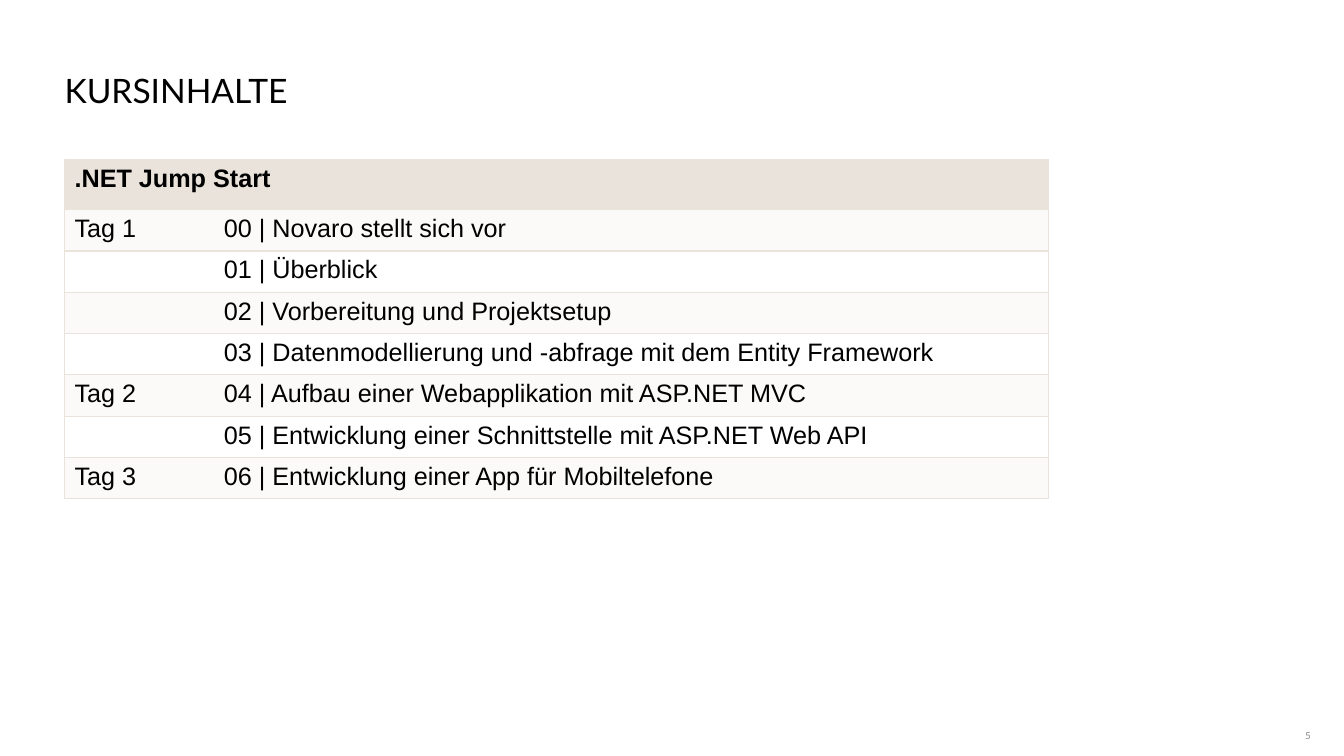
import pptx
import pptx.dml.color
import pptx.enum.text
import pptx.oxml
import pptx.oxml.ns
import pptx.util
from pptx.util import Inches

ALIGN = pptx.enum.text.PP_ALIGN
ANCHOR = pptx.enum.text.MSO_ANCHOR

BEIGE, BAND, WHITE, BLACK, GREY = "EAE3DB", "FBFAF8", "FFFFFF", "000000", "8C8C8C"
MARGIN_LEFT = 0.64
HEADER_HEIGHT, ROW_HEIGHT = 0.5, 0.41
DAY_WIDTH = 1.48

COURSE = ".NET Jump Start"
TOPICS = [
    ("Tag 1", "00 | Novaro stellt sich vor"),
    ("", "01 | Überblick"),
    ("", "02 | Vorbereitung und Projektsetup"),
    ("", "03 | Datenmodellierung und -abfrage mit dem Entity Framework"),
    ("Tag 2", "04 | Aufbau einer Webapplikation mit ASP.NET MVC"),
    ("", "05 | Entwicklung einer Schnittstelle mit ASP.NET Web API"),
    ("Tag 3", "06 | Entwicklung einer App für Mobiltelefone"),
]


def rgb(value):
    return pptx.dml.color.RGBColor.from_string(value)


def style_font(font, name, size, color, bold=False):
    font.name = name
    font.size = pptx.util.Pt(size)
    font.bold = bold
    font.color.rgb = rgb(color)


def add_text(slide, box, text, size, color, anchor, align=ALIGN.LEFT, insets=(0, 0, 0, 0)):
    """Add a one-line Lato text box; box and insets are in inches."""
    frame = slide.shapes.add_textbox(*map(Inches, box)).text_frame
    frame.word_wrap = True
    frame.vertical_anchor = anchor
    (frame.margin_left, frame.margin_top,
     frame.margin_right, frame.margin_bottom) = map(Inches, insets)
    frame.text = text
    paragraph = frame.paragraphs[0]
    paragraph.alignment = align
    style_font(paragraph.runs[0].font, "Lato", size, color)
    return paragraph


def add_title(slide, box, text):
    paragraph = add_text(slide, box, text, 24, BLACK, ANCHOR.BOTTOM,
                         insets=(0, 0.05, 0.1, 0.05))
    paragraph.line_spacing = 0.9


def set_borders(cell, visible):
    """Draw the sides named in visible and clear the others."""
    properties = cell._tc.get_or_add_tcPr()
    for side in "LRTB":
        paint = (f'<a:solidFill><a:srgbClr val="{BEIGE}"/></a:solidFill>'
                 if side in visible else "<a:noFill/>")
        properties.append(pptx.oxml.parse_xml(
            f'<a:ln{side} {pptx.oxml.ns.nsdecls("a")} w="12700">{paint}</a:ln{side}>'))


def fill_cell(cell, text, fill, borders, bold=False):
    set_borders(cell, borders)
    cell.fill.solid()
    cell.fill.fore_color.rgb = rgb(fill)
    cell.text = text
    paragraph = cell.text_frame.paragraphs[0]
    style_font(paragraph.font, "Arial", 18, BLACK, bold)
    for run in paragraph.runs:
        style_font(run.font, "Arial", 18, BLACK, bold)


def add_course_table(slide, left, top, width):
    height = HEADER_HEIGHT + ROW_HEIGHT * len(TOPICS)
    table = slide.shapes.add_table(
        len(TOPICS) + 1, 2, *map(Inches, (left, top, width, height))).table
    table.columns[0].width = Inches(DAY_WIDTH)
    table.columns[1].width = Inches(width - DAY_WIDTH)
    for index, row in enumerate(table.rows):
        row.height = Inches(ROW_HEIGHT if index else HEADER_HEIGHT)

    table.cell(0, 0).merge(table.cell(0, 1))
    fill_cell(table.cell(0, 0), COURSE, BEIGE, "LRTB", bold=True)
    for index, (day, topic) in enumerate(TOPICS, start=1):
        fill = BAND if index % 2 else WHITE
        fill_cell(table.cell(index, 0), day, fill, "LTB")
        fill_cell(table.cell(index, 1), topic, fill, "RTB")


def main():
    presentation = pptx.Presentation()
    presentation.slide_width = Inches(13.33)
    presentation.slide_height = Inches(7.5)
    slide = presentation.slides.add_slide(presentation.slide_layouts[6])

    add_title(slide, (MARGIN_LEFT, 0.25, 12.05, 0.9), "KURSINHALTE")
    add_course_table(slide, MARGIN_LEFT, 1.58, 9.76)
    add_text(slide, (12.69, 7.22, 0.31, 0.16), "5", 7, GREY, ANCHOR.MIDDLE, ALIGN.RIGHT)

    presentation.save("out.pptx")


if __name__ == "__main__":
    main()
